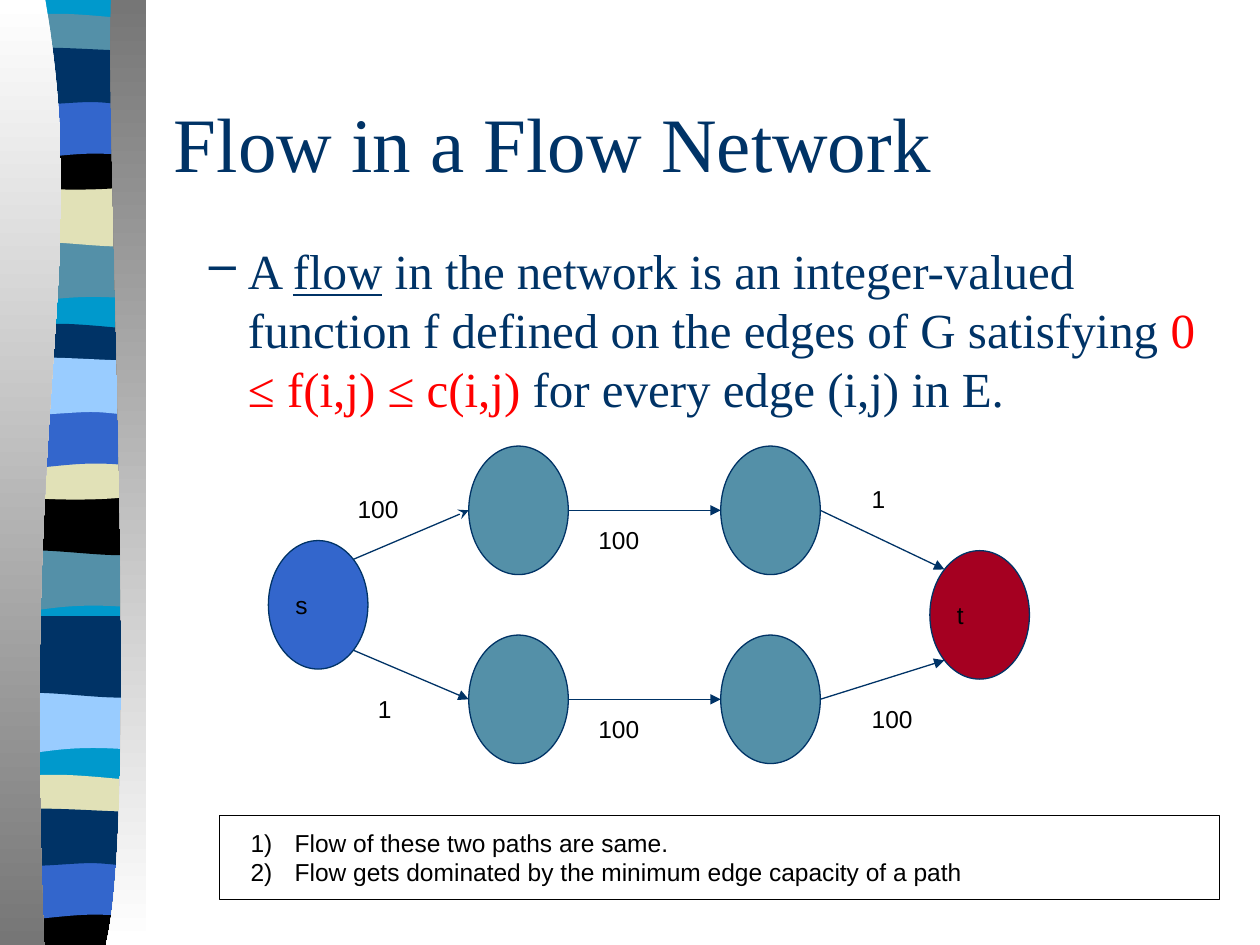
from collections import namedtuple
from dataclasses import dataclass
from math import cos, radians, sin

from lxml.etree import SubElement
from pptx import Presentation
from pptx.dml.color import RGBColor
from pptx.enum.shapes import MSO_CONNECTOR, MSO_SHAPE
from pptx.enum.text import MSO_ANCHOR, MSO_AUTO_SIZE, PP_ALIGN
from pptx.oxml.ns import qn
from pptx.util import Inches, Pt

Box = namedtuple("Box", "left top width height")


@dataclass(frozen=True)
class Theme:
    serif: str = "Times New Roman"
    sans: str = "Arial"
    title_size: int = 44
    body_size: int = 28
    label_size: int = 14
    line_width: float = 0.75
    navy: str = "003366"
    blue: str = "3366CC"
    sky: str = "99CCFF"
    cyan: str = "0099CC"
    teal: str = "5490A8"
    tan: str = "E1E1B7"
    red: str = "FF0000"
    crimson: str = "A50021"
    black: str = "000000"
    white: str = "FFFFFF"
    gray: str = "767676"


THEME = Theme()

# Ribbon outlines: a pair is a line end, six numbers are a Bézier curve.
WAVE_LOW = [(1.14, 1.85), (1.14, 2.38), (0.39, 2.3, 0.24, 2.46, 0.05, 2.38), (0.05, 1.85)]
WAVE_HIGH = [(1.14, 1.31), (1.14, 1.93), (0.96, 2.01, 0.39, 1.88, 0.06, 1.93), (0.06, 1.31)]
LENS = [(1.14, 0.16), (1.14, 0.5), (0.96, 0.54, 0.24, 0.54, 0.06, 0.5), (0.06, 0.16),
        (0.13, 0.11, 0.29, 0.11, 0.47, 0.11), (0.66, 0.11, 1, 0.15, 1.14, 0.16)]
BOWL = [(1.14, 1.08), (1.14, 1.46), (0.96, 1.52, 0.24, 1.52, 0.05, 1.46), (0.05, 1.08),
        (0.72, 1.13, 0.91, 1.08, 1.14, 1.08)]
ARCH = [(1.14, 0.74), (1.14, 1.27), (0.97, 1.22, 0.9, 1.22, 0.72, 1.22),
        (0.54, 1.22, 0.22, 1.27, 0.06, 1.27), (0.06, 0.74)]
SWELL = [(1.14, 0.4), (1.14, 0.81), (1.07, 0.86, 0.91, 0.81, 0.72, 0.81),
         (0.54, 0.81, 0.17, 0.86, 0.06, 0.81), (0.06, 0.4),
         (0.21, 0.35, 0.79, 0.4, 0.97, 0.4), (1.16, 0.4, 1.11, 0.4, 1.14, 0.4)]
LEFT_COVER = [(0.36, 0), (0.72, 2.17, 0.17, 2.96, 0.35, 7.5), (0, 7.5), (0, 0)]
RIGHT_COVER = [(0.88, 0), (0.84, 1.25, 1.11, 6.46, 0.84, 7.5), (1.16, 7.5), (1.16, 0)]


def rgb(color):
    return RGBColor.from_string(color)


def add_run(paragraph, text, size, font, color, underline=None):
    run = paragraph.add_run()
    run.text = text
    run.font.size, run.font.name = Pt(size), font
    run.font.color.rgb = rgb(color)
    run.font.underline = underline


def add_bullet(paragraph, tag, indent, hanging, color, **attributes):
    properties = paragraph._p.get_or_add_pPr()
    properties.set("marL", str(Inches(indent)))
    properties.set("indent", str(-Inches(hanging)))
    bullet_color = SubElement(properties, qn("a:buClr"))
    SubElement(bullet_color, qn("a:srgbClr"), val=color)
    SubElement(properties, qn(tag), **attributes)


def set_frame(shape, margin, anchor=MSO_ANCHOR.TOP):
    frame = shape.text_frame
    frame.word_wrap = True
    frame.auto_size = MSO_AUTO_SIZE.NONE
    frame.vertical_anchor = anchor
    frame.margin_left = frame.margin_right = Inches(0.1)
    frame.margin_top = frame.margin_bottom = Inches(margin)
    frame.paragraphs[0].alignment = PP_ALIGN.LEFT
    return frame


def add_outline(slide, box, outline, drop=0):
    """Draw all points as a polygon, then join each curve's three points into one Bézier."""
    points = [(Inches(box.left + x), Inches(box.top + min(y + drop, box.height)))
              for part in outline for x, y in zip(part[::2], part[1::2])]
    builder = slide.shapes.build_freeform(*points[0], scale=1.0)
    builder.add_line_segments(points[1:], close=True)
    shape = builder.convert_to_shape()
    segments = iter(list(shape._element.iter(qn("a:lnTo"))))
    for part in outline[1:]:
        segment = next(segments)
        if len(part) == 6:
            segment.tag = qn("a:cubicBezTo")
            for _ in range(2):
                extra = next(segments)
                segment.append(extra[0])
                extra.getparent().remove(extra)
    shape.shadow.inherit = False
    shape.line.fill.background()
    return shape


def add_ribbon(slide, box):
    def add_band(outline, drop, color):
        shape = add_outline(slide, box, outline, drop)
        shape.fill.solid()
        shape.fill.fore_color.rgb = rgb(color)

    theme = THEME
    add_band([(1.14, 0), (1.14, 7.47), (0.06, 7.47), (0.06, 0)], 0, theme.cyan)
    for drop, low, high in ((0, theme.teal, theme.tan), (2.45, theme.teal, theme.black),
                            (3.58, theme.sky, theme.navy)):
        add_band(WAVE_LOW, drop, low)
        add_band(WAVE_HIGH, drop, high)
    for drop, *colors in ((0, theme.teal, theme.black, theme.blue, theme.navy),
                          (2.46, theme.navy, theme.tan, theme.blue, theme.sky),
                          (6.04, theme.tan, theme.black, theme.blue, theme.navy)):
        for outline, color in zip((LENS, BOWL, ARCH, SWELL), colors):
            add_band(outline, drop, color)
    for outline, colors in ((LEFT_COVER, (theme.white, theme.gray)),
                            (RIGHT_COVER, (theme.gray, theme.white))):
        cover = add_outline(slide, box, outline)
        cover.fill.gradient()
        cover.fill.gradient_angle = 270
        for stop, color in zip(cover.fill.gradient_stops, colors):
            stop.color.rgb = rgb(color)


def add_title(slide, box):
    title = slide.shapes.title
    title.left, title.top, title.width, title.height = map(Inches, box)
    frame = set_frame(title, 0.05, MSO_ANCHOR.MIDDLE)
    add_run(frame.paragraphs[0], "Flow in a Flow Network", THEME.title_size, THEME.serif, THEME.navy)


def add_definition(slide, box):
    frame = set_frame(slide.shapes.add_textbox(*map(Inches, box)), 0.05)
    paragraph = frame.paragraphs[0]
    add_bullet(paragraph, "a:buChar", 0.81, 0.31, THEME.navy, char="–")
    for text, color, underline in (
            ("A ", THEME.navy, None), ("flow", THEME.navy, True),
            (" in the network is an integer-valued function f defined on the edges of G satisfying ",
             THEME.navy, None),
            ("0 ≤ f(i,j) ≤ c(i,j)", THEME.red, None),
            (" for every edge (i,j) in E.", THEME.navy, None)):
        add_run(paragraph, text, THEME.body_size, THEME.serif, color, underline)


def add_label(shape, text, anchor=MSO_ANCHOR.TOP):
    frame = set_frame(shape, 0.1, anchor)
    add_run(frame.paragraphs[0], text, THEME.label_size, THEME.sans, THEME.black)


def add_node(slide, box, color, name):
    node = slide.shapes.add_shape(MSO_SHAPE.OVAL, *map(Inches, box))
    node.shadow.inherit = False
    node.fill.solid()
    node.fill.fore_color.rgb = rgb(color)
    node.line.color.rgb, node.line.width = rgb(THEME.navy), Pt(THEME.line_width)
    if name:
        add_label(node, name, MSO_ANCHOR.MIDDLE)


def rim_point(box, degrees):
    """Point on the rim of an ellipse, measured clockwise from its right end."""
    angle = radians(degrees)
    return (Inches(box.left + box.width / 2 * (1 + cos(angle))),
            Inches(box.top + box.height / 2 * (1 + sin(angle))))


def add_edge(slide, start, end, head):
    edge = slide.shapes.add_connector(MSO_CONNECTOR.STRAIGHT, *start, *end)
    edge.line.color.rgb, edge.line.width = rgb(THEME.navy), Pt(THEME.line_width)
    SubElement(edge.line._get_or_add_ln(), qn("a:tailEnd"), type=head)
    SubElement(edge._element.spPr, qn("a:effectLst"))


def add_network(slide, box):
    nodes = {}
    for key, x, y, color, name in (
            ("source", 0, 0.75, THEME.blue, "s"),
            ("upper left", 1.59, 0, THEME.teal, ""), ("upper right", 3.59, 0, THEME.teal, ""),
            ("sink", 5.25, 0.83, THEME.crimson, "t"),
            ("lower left", 1.59, 1.5, THEME.teal, ""), ("lower right", 3.59, 1.5, THEME.teal, "")):
        nodes[key] = Box(box.left + x, box.top + y, 0.79, 1.02)
        add_node(slide, nodes[key], color, name)
    for start, leave, end, enter, head, capacity, x, y in (
            ("source", -45, "upper left", 180, "stealth", "100", 0.61, 0.28),
            ("upper left", 0, "upper right", 180, "triangle", "100", 2.52, 0.53),
            ("upper right", 0, "sink", 225, "triangle", "1", 4.69, 0.2),
            ("source", 45, "lower left", 180, "triangle", "1", 0.77, 1.87),
            ("lower left", 0, "lower right", 180, "triangle", "100", 2.52, 2.03),
            ("lower right", 0, "sink", 135, "triangle", "100", 4.69, 1.95)):
        add_edge(slide, rim_point(nodes[start], leave), rim_point(nodes[end], enter), head)
        label_box = Box(box.left + x, box.top + y, 1.07, 0.44)
        add_label(slide.shapes.add_textbox(*map(Inches, label_box)), capacity)


def add_remarks(slide, box):
    panel = slide.shapes.add_textbox(*map(Inches, box))
    panel.line.color.rgb, panel.line.width = rgb(THEME.black), Pt(THEME.line_width)
    frame = set_frame(panel, 0.1)
    for index, text in enumerate(("Flow of these two paths are same.",
                                  "Flow gets dominated by the minimum edge capacity of a path")):
        paragraph = frame.add_paragraph() if index else frame.paragraphs[0]
        add_bullet(paragraph, "a:buAutoNum", 0.5, 0.35, THEME.black, type="arabicParenR")
        add_run(paragraph, text, THEME.label_size, THEME.sans, THEME.black)


def main():
    presentation = Presentation()
    presentation.slide_width, presentation.slide_height = Inches(10), Inches(7.5)
    slide = presentation.slides.add_slide(presentation.slide_layouts[5])
    add_ribbon(slide, Box(0, 0, 1.16, 7.5))
    add_title(slide, Box(1.28, 0.5, 8.5, 1.25))
    add_definition(slide, Box(1.06, 1.86, 8.62, 5.12))
    add_network(slide, Box(2.13, 3.54, 6.04, 2.52))
    add_remarks(slide, Box(1.74, 6.47, 7.94, 0.67))
    presentation.save("out.pptx")


if __name__ == "__main__":
    main()
